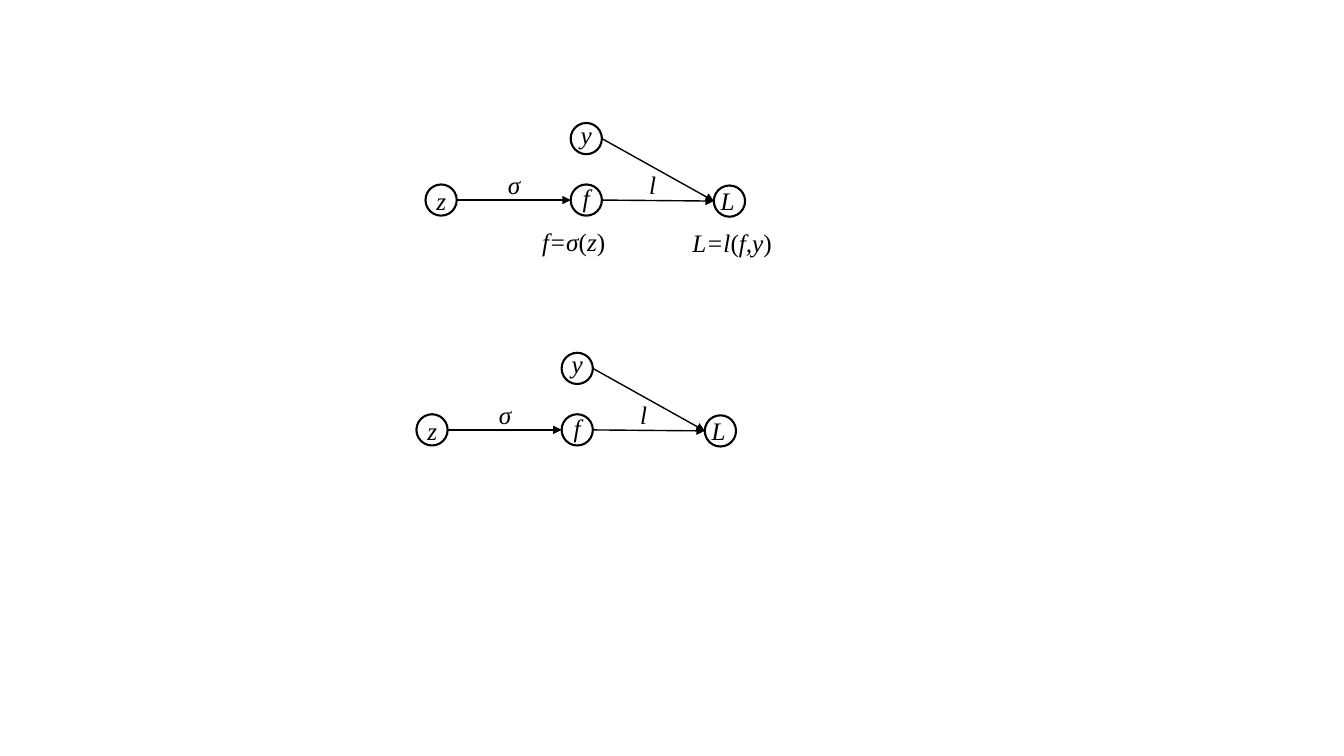
"""Draw two computation graphs of a loss L over f = σ(z) and y."""
from dataclasses import dataclass

import pptx
import pptx.dml.color
import pptx.enum.shapes
import pptx.enum.text
import pptx.oxml
import pptx.oxml.ns
import pptx.util
from pptx.util import Inches

BLACK = "000000"
FONT = "Times New Roman"
DIAMETER = 0.31
LABEL_HEIGHT = 0.4


@dataclass(frozen=True)
class Label:
    text: str
    left: float
    top: float
    width: float


@dataclass(frozen=True)
class Node:
    left: float
    top: float
    label: Label

    @property
    def middle(self) -> float:
        return self.top + DIAMETER / 2


NODES = {
    "z": Node(4.22, 1.83, Label("z", 4.23, 1.79, 0.3)),
    "f": Node(5.66, 1.83, Label("f", 5.68, 1.76, 0.27)),
    "y": Node(5.66, 1.22, Label("y", 5.66, 1.13, 0.31)),
    "L": Node(7.08, 1.84, Label("L", 7.05, 1.79, 0.34)),
}
EDGES = [("z", "f"), ("f", "L"), ("y", "L")]
EDGE_LABELS = [Label("σ", 4.94, 1.63, 0.33), Label("l", 6.34, 1.63, 0.27)]
FORMULAS = [Label("f=σ(z)", 5.28, 2.2, 0.83), Label("L=l(f,y)", 6.77, 2.21, 1)]
GRAPH_OFFSETS = [(0, 0), (-0.09, 2.28)]


def rgb(value: str) -> pptx.dml.color.RGBColor:
    return pptx.dml.color.RGBColor.from_string(value)


def add_label(s, label: Label, dx: float, dy: float) -> None:
    sp = s.shapes.add_textbox(Inches(label.left + dx), Inches(label.top + dy),
                              Inches(label.width), Inches(LABEL_HEIGHT))
    tf = sp.text_frame
    tf.word_wrap = False
    tf.auto_size = pptx.enum.text.MSO_AUTO_SIZE.SHAPE_TO_FIT_TEXT
    p = tf.paragraphs[0]
    for part in label.text.replace("(", "|(|").replace(")", "|)").split("|"):
        r = p.add_run()
        r.text = part
        if part in ("(", ")"):
            r.font.italic = False
    p.font.name = FONT
    p.font.size = pptx.util.Pt(18)
    p.font.italic = True
    p.font.color.rgb = rgb(BLACK)


def add_node(s, node: Node, dx: float, dy: float) -> None:
    sp = s.shapes.add_shape(
        pptx.enum.shapes.MSO_SHAPE.FLOWCHART_CONNECTOR,
        Inches(node.left + dx), Inches(node.top + dy),
        Inches(DIAMETER), Inches(DIAMETER))
    sp.shadow.inherit = False
    sp.fill.background()
    sp.line.color.rgb = rgb(BLACK)
    sp.line.width = pptx.util.Pt(1.5)
    add_label(s, node.label, dx, dy)


def add_arrow(s, start: Node, end: Node, dx: float, dy: float) -> None:
    cx = s.shapes.add_connector(
        pptx.enum.shapes.MSO_CONNECTOR.STRAIGHT,
        Inches(start.left + DIAMETER + dx), Inches(start.middle + dy),
        Inches(end.left + dx), Inches(end.middle + dy))
    cx.line.color.rgb = rgb(BLACK)
    cx.line.width = pptx.util.Pt(1)
    ln = cx.line._get_or_add_ln()
    ns = pptx.oxml.ns.nsdecls("a")
    ln.append(pptx.oxml.parse_xml(f'<a:tailEnd {ns} type="triangle"/>'))
    ln.addnext(pptx.oxml.parse_xml(f"<a:effectLst {ns}/>"))


def add_graph(s, dx: float, dy: float) -> None:
    for node in NODES.values():
        add_node(s, node, dx, dy)
    for start, end in EDGES:
        add_arrow(s, NODES[start], NODES[end], dx, dy)
    for label in EDGE_LABELS:
        add_label(s, label, dx, dy)


def main() -> None:
    prs = pptx.Presentation()
    prs.slide_width, prs.slide_height = Inches(13.33), Inches(7.5)
    s = prs.slides.add_slide(prs.slide_layouts[6])
    for dx, dy in GRAPH_OFFSETS:
        add_graph(s, dx, dy)
    for formula in FORMULAS:
        add_label(s, formula, 0, 0)
    prs.save("out.pptx")


if __name__ == "__main__":
    main()
